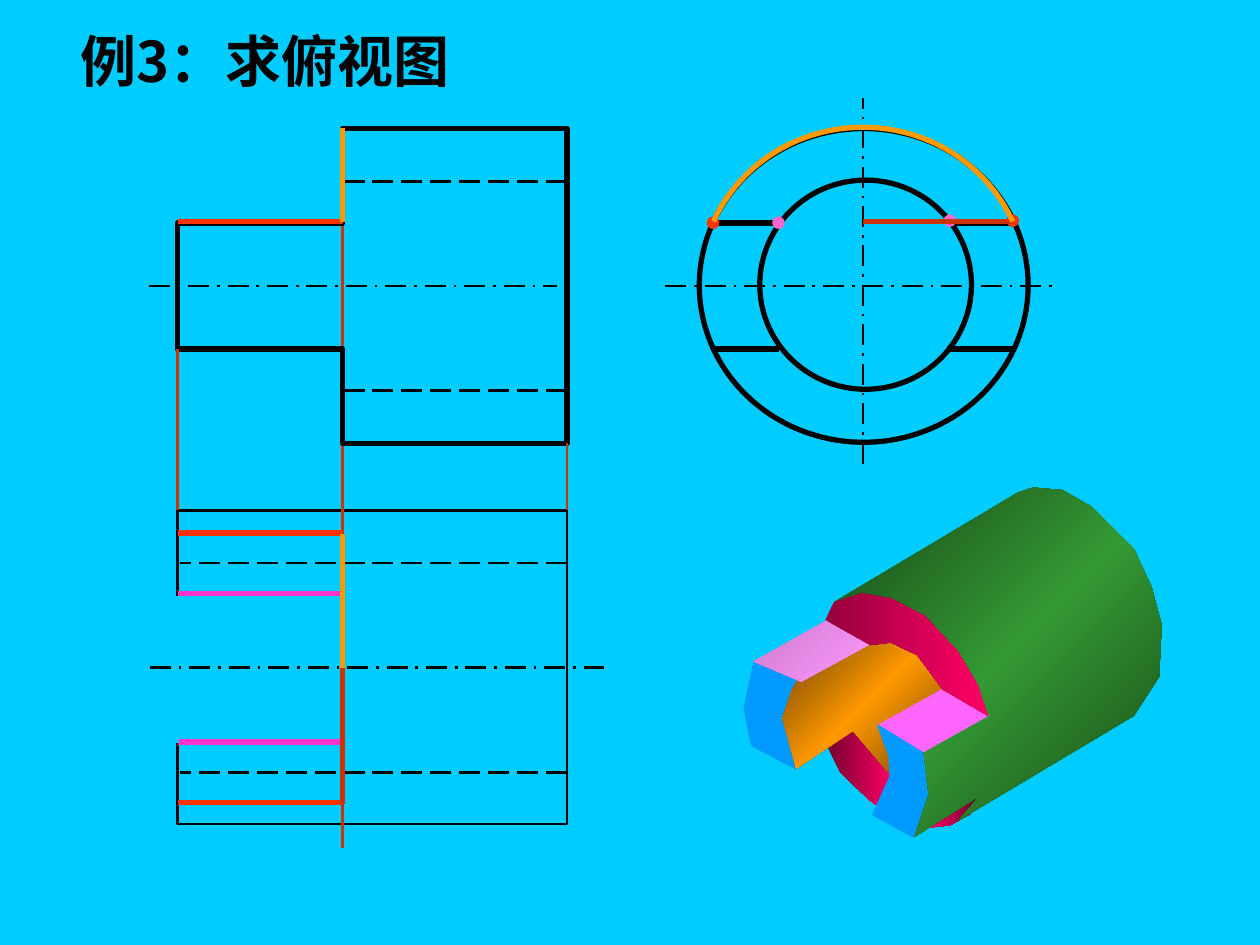
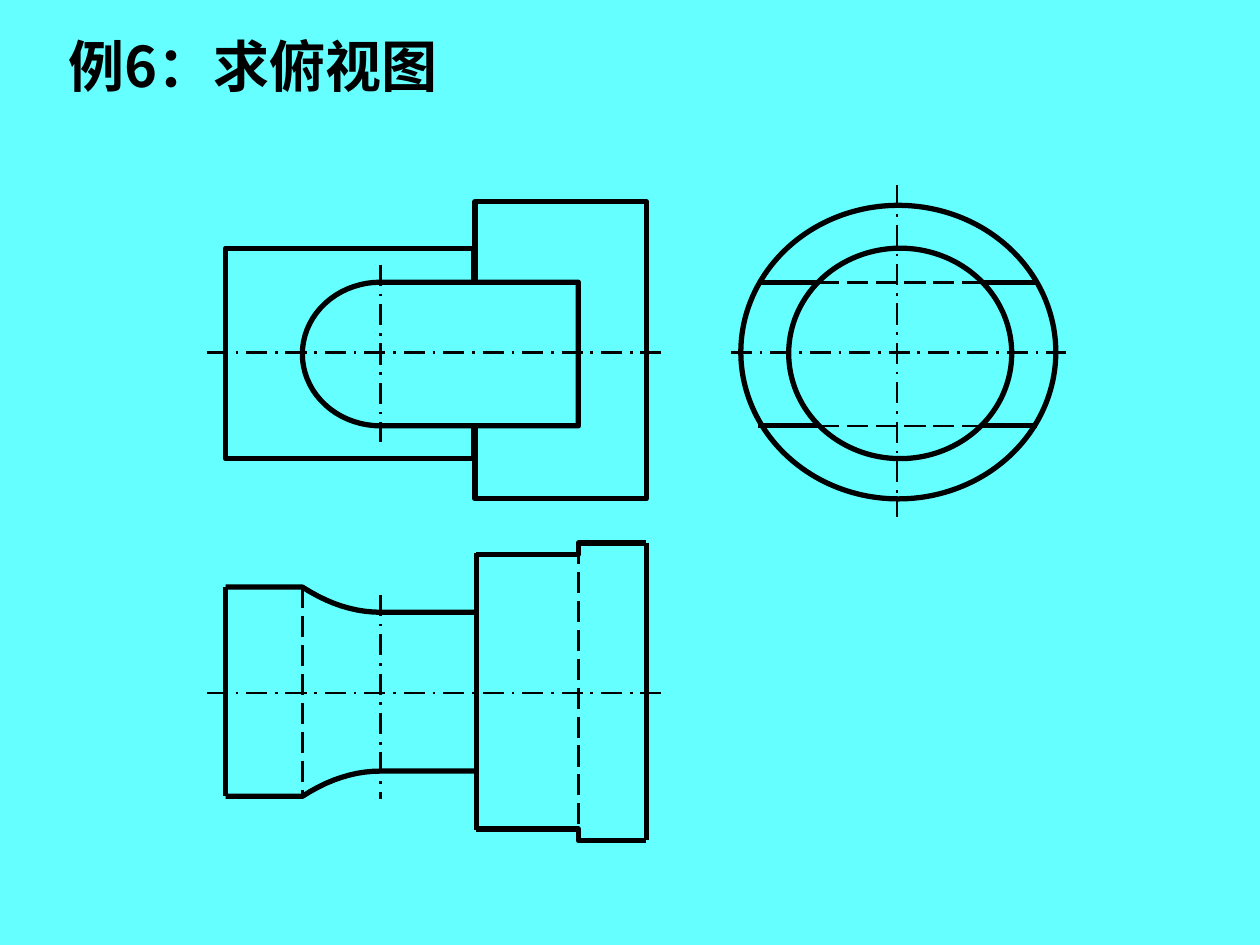
from dataclasses import dataclass
from math import cos, radians, sin

from lxml import etree
from pptx import Presentation
from pptx import util as u
from pptx.dml.color import RGBColor
from pptx.enum import dml, shapes, text
from pptx.oxml.ns import qn


@dataclass(frozen=True)
class Theme:
    font: str = "Noto Sans CJK SC"
    title_size: float = 32
    title_leading: float = 38.5
    dot_size: float = 8
    thin: float = 1.5
    thick: float = 3
    black: str = "000000"
    sky: str = "00CCFF"
    aqua: str = "66FFFF"
    brick: str = "CC3300"
    red: str = "FF3300"
    orange: str = "FF9900"
    magenta: str = "FF33CC"
    pink: str = "FF66CC"
    blue: str = "0099FF"
    crimson: str = "FF0066"


T = Theme()
DASH = dml.MSO_LINE.LONG_DASH
CENTER = dml.MSO_LINE.LONG_DASH_DOT


def write(sp, words, size, color=T.black, align=text.PP_ALIGN.LEFT,
          anchor=text.MSO_ANCHOR.TOP, wrap=True, leading=None):
    tf = sp.text_frame
    tf.auto_size = text.MSO_AUTO_SIZE.NONE
    tf.word_wrap = wrap
    tf.vertical_anchor = anchor
    tf.margin_left = tf.margin_right = u.Inches(0.1)
    tf.margin_top = tf.margin_bottom = u.Inches(0.05)
    p = tf.paragraphs[0]
    p.alignment = align
    if leading:
        p.line_spacing = u.Pt(leading)
    r = p.add_run()
    r.text = words
    r.font.name, r.font.size, r.font.bold = T.font, u.Pt(size), True
    r.font.color.rgb = RGBColor.from_string(color)
    etree.SubElement(r.font._element, qn("a:ea"), typeface=T.font)


def draw(s, points, color=T.black, width=T.thick, dash=None, fill=(), angle=0, close=False):
    """Draw a connector (two points) or an outline; several fill colours make a gradient."""
    pts = [(u.Inches(x), u.Inches(y)) for x, y in points]
    if len(pts) == 2:
        sp = s.shapes.add_connector(shapes.MSO_CONNECTOR.STRAIGHT, *pts[0], *pts[1])
        etree.SubElement(sp._element.spPr, qn("a:effectLst"))
    else:
        builder = s.shapes.build_freeform(*pts[0])
        builder.add_line_segments(pts[1:], close=close or bool(fill))
        sp = builder.convert_to_shape()
        sp.shadow.inherit = False
        if not fill:
            sp.fill.background()
        elif len(fill) == 1:
            sp.fill.solid()
            sp.fill.fore_color.rgb = RGBColor.from_string(fill[0])
        else:
            sp.fill.gradient()
            sp.fill.gradient_angle = -angle % 360
            stops = sp._element.spPr.find(".//" + qn("a:gsLst"))
            for gs in list(stops):
                stops.remove(gs)
            for i, shade in enumerate(fill):
                gs = etree.SubElement(stops, qn("a:gs"), pos=str(100000 * i // (len(fill) - 1)))
                etree.SubElement(gs, qn("a:srgbClr"), val=shade)
    if color:
        sp.line.color.rgb = RGBColor.from_string(color)
        sp.line.width = u.Pt(width)
        if dash:
            sp.line.dash_style = dash
    else:
        sp.line.fill.background()


prs = Presentation()
prs.slide_width, prs.slide_height = u.Inches(10), u.Inches(7.5)
OVAL, RECT = shapes.MSO_SHAPE.OVAL, shapes.MSO_SHAPE.RECTANGLE

# Title, its place, background, and preset outlines: kind, left, top, width, height, line
pages = [
    ("例3：求俯视图", 0.54, 0.16, T.sky, [
        (OVAL, 5.55, 1.02, 2.61, 2.49, T.thick),
        (OVAL, 6.03, 1.43, 1.68, 1.66, T.thick),
        (RECT, 1.41, 4.05, 3.09, 2.49, T.thin)]),
    ("例6：求俯视图", 0.44, 0.2, T.aqua, [
        (OVAL, 5.88, 1.63, 2.5, 2.33, T.thick),
        (OVAL, 6.26, 1.97, 1.77, 1.67, T.thick),
        (RECT, 3.77, 1.6, 1.36, 2.36, T.thick),
        (RECT, 1.79, 1.97, 1.97, 1.67, T.thick)]),
]
slides = []
for title, left, top, backdrop, outlines in pages:
    s = prs.slides.add_slide(prs.slide_layouts[5])
    s.background.fill.solid()
    s.background.fill.fore_color.rgb = RGBColor.from_string(backdrop)
    sp = s.shapes.title
    sp.left, sp.top, sp.width, sp.height = map(u.Inches, (left, top, 3.3, 1.2))
    write(sp, title, T.title_size, leading=T.title_leading)
    for kind, *box, width in outlines:
        sp = s.shapes.add_shape(kind, *map(u.Inches, box))
        sp.shadow.inherit = False
        sp.fill.background()
        sp.line.color.rgb = RGBColor.from_string(T.black)
        sp.line.width = u.Pt(width)
    slides.append(s)
sleeve, plug = slides

# Sleeve, solid view: fill colours, gradient angle, corners
faces = [
    ([T.blue], 0, [(5.98, 5.25), (6.42, 5.39), (6.27, 5.65), (6.32, 6.11), (5.96, 5.92),
                   (5.9, 5.62)]),
    (["76002F", T.crimson], 0, [(6.78, 5.79), (7.1, 6.2), (7.04, 6.45), (6.9, 6.35),
                                (6.67, 6.13), (6.57, 5.93)]),
    (["693F00", T.orange, "693F00"], 45, [
        (6.37, 5.33), (6.92, 5.02), (7.2, 5.12), (7.57, 5.48), (7.07, 5.75), (7.05, 6.13),
        (6.77, 5.8), (6.32, 6.1), (6.21, 5.7), (6.28, 5.49)]),
    ([T.blue], 0, [(7.06, 6.16), (6.92, 6.47), (7.25, 6.65), (7.38, 6.37), (7.38, 5.95),
                   (6.96, 5.75), (7.05, 6)]),
    ([T.crimson, "5A0024"], 0, [(7.36, 6.57), (7.81, 6.28), (7.7, 6.46), (7.54, 6.55)]),
    (["184718", "339933", "184718"], 45, [
        (6.62, 4.78), (8.08, 3.91), (8.2, 3.87), (8.43, 3.89), (8.66, 4.02), (9, 4.36),
        (9.14, 4.66), (9.22, 4.96), (9.2, 5.37), (9, 5.68), (7.61, 6.51), (7.77, 6.32),
        (7.26, 6.64), (7.37, 6.31), (7.33, 5.96), (7.81, 5.63), (7.29, 4.87)]),
    (["CD7BCD", "FF99FF"], 45, [(5.98, 5.25), (6.36, 5.41), (6.91, 5.11), (6.57, 4.92)]),
    (["FF66FF"], 0, [(6.97, 5.75), (7.33, 5.97), (7.85, 5.68), (7.51, 5.45)]),
    (["96003C", T.crimson], 0, [
        (6.55, 4.92), (6.62, 4.78), (6.84, 4.71), (7.07, 4.75), (7.34, 4.89), (7.6, 5.17),
        (7.76, 5.44), (7.84, 5.68), (7.48, 5.47), (7.28, 5.2), (7.07, 5.1), (6.91, 5.12)]),
]
for fill, angle, corners in faces:
    draw(sleeve, corners, None, fill=fill, angle=angle)

# Sleeve, front and side views, symmetric about one axis
left, step, right = 1.41, 2.72, 4.5
axis, plan_axis, hub = 2.27, 5.3, 6.85
flat, rim = 0.5, 1.25
chord, bore_chord = 1.19, 0.67
draw(sleeve, [(step, axis - flat), (step, 6.73)], T.brick, T.thin)
draw(sleeve, [(left, axis - flat), (step, axis - flat), (step, axis - rim), (right, axis - rim),
              (right, axis + rim), (step, axis + rim), (step, axis + flat), (left, axis + flat)],
     close=True)
for x1, x2 in [(1.18, 4.42), (5.28, 8.37)]:
    draw(sleeve, [(x1, axis), (x2, axis)], T.black, T.thin, CENTER)
draw(sleeve, [(hub, 3.68), (hub, 0.78)], T.black, T.thin, CENTER)
for side in (-1, 1):
    for up in (-1, 1):
        y = axis + up * flat
        draw(sleeve, [(hub + side * bore_chord, y), (hub + side * chord, y)])
    for distance, color in [(1.07, T.red), (0.59, T.magenta)]:
        y = plan_axis + side * distance
        draw(sleeve, [(step, y), (left, y)], color)
    for center, start in [(axis, step), (plan_axis, left)]:
        y = center + side * 0.83
        draw(sleeve, [(right, y), (start + 0.02, y)], T.black, T.thin, DASH)
for x, y in [(left, axis + flat), (right, axis + rim)]:
    draw(sleeve, [(x, y), (x, 4.05)], T.brick, T.thin)

# Sleeve, points and lines carried between the views
for x, color in [(-chord, T.red), (-bore_chord, T.pink), (bore_chord + 0.02, T.pink),
                 (chord, T.red)]:
    y = axis - flat - (0.02 if x > 0 else 0)
    sp = sleeve.shapes.add_textbox(*map(u.Inches, (hub + x - 0.15, y - 0.12, 0.3, 0.24)))
    write(sp, "●", T.dot_size, color, text.PP_ALIGN.CENTER, text.MSO_ANCHOR.MIDDLE, wrap=False)
for color, x1, y1, x2, y2 in [
        (T.red, left, 1.76, step, 1.76),
        (T.brick, hub, 1.76, hub + chord, 1.76),
        (T.orange, step, 1.02, step, 1.76),
        (T.orange, step, 4.24, step, plan_axis),
        (T.brick, step, plan_axis, step, 6.38)]:
    draw(sleeve, [(x1, y1), (x2, y2)], color)
draw(sleeve, [(hub + 1.3 * cos(radians(a)), axis - 1.26 * sin(radians(a)))
              for a in range(24, 157, 3)], T.orange)
draw(sleeve, [(1.39, 4.73), (1.39, 5.9)], T.sky, 4.5)
draw(sleeve, [(1.19, plan_axis), (4.79, plan_axis)], T.black, T.thin, CENTER)

# Plug, slot in the front view
left, round_x, neck, slot_end, right = 1.79, 3.02, 3.78, 4.59, 5.13
axis, plan_axis, hub, slot = 2.81, 5.49, 7.12, 0.57
arc = [(round_x - 0.62 * sin(radians(a)), axis - slot * cos(radians(a)))
       for a in range(0, 181, 5)]
draw(plug, [(slot_end, axis - slot), *arc, (slot_end, axis + slot)], fill=[T.aqua])

# Plug, side view chords and the symmetric plan view
bend = [i / 10 for i in range(11)]
for side in (-1, 1):
    y = axis + side * slot
    draw(plug, [(hub - 0.63, y), (hub + 0.68, y)], T.black, T.thin, DASH)
    for x1, x2 in [(-1.1, -0.63), (0.67, 1.11)]:
        draw(plug, [(hub + x1, y), (hub + x2, y)])
    stem = [(left, 0.83), *((2.4 + 0.62 * t, 0.83 - 0.2 * t * (2 - t)) for t in bend),
            (neck, 0.63)]
    head = [(neck, 1.09), (slot_end, 1.09), (slot_end, 1.18), (right, 1.18)]
    for profile in (stem, head):
        draw(plug, [(x, plan_axis + side * h) for x, h in profile])
for x, h, width, dash in [
        (left, 0.83, T.thick, None), (neck, 1.1, T.thick, None), (right, 1.18, T.thick, None),
        (2.4, 0.83, T.thin, DASH), (slot_end, 1.18, T.thin, DASH)]:
    draw(plug, [(x, plan_axis - h), (x, plan_axis + h)], T.black, width, dash)

# Plug, centre lines
for x1, x2, y in [(1.64, 5.25, 2.8), (1.64, 5.25, 5.5), (5.8, 8.46, 2.8)]:
    draw(plug, [(x1, y), (x2, y)], T.black, T.thin, CENTER)
for x, y1, y2 in [(hub, 1.47, 4.1), (round_x, 2.1, 3.51), (round_x, 4.72, 6.34)]:
    draw(plug, [(x, y1), (x, y2)], T.black, T.thin, CENTER)

prs.save("out.pptx")
